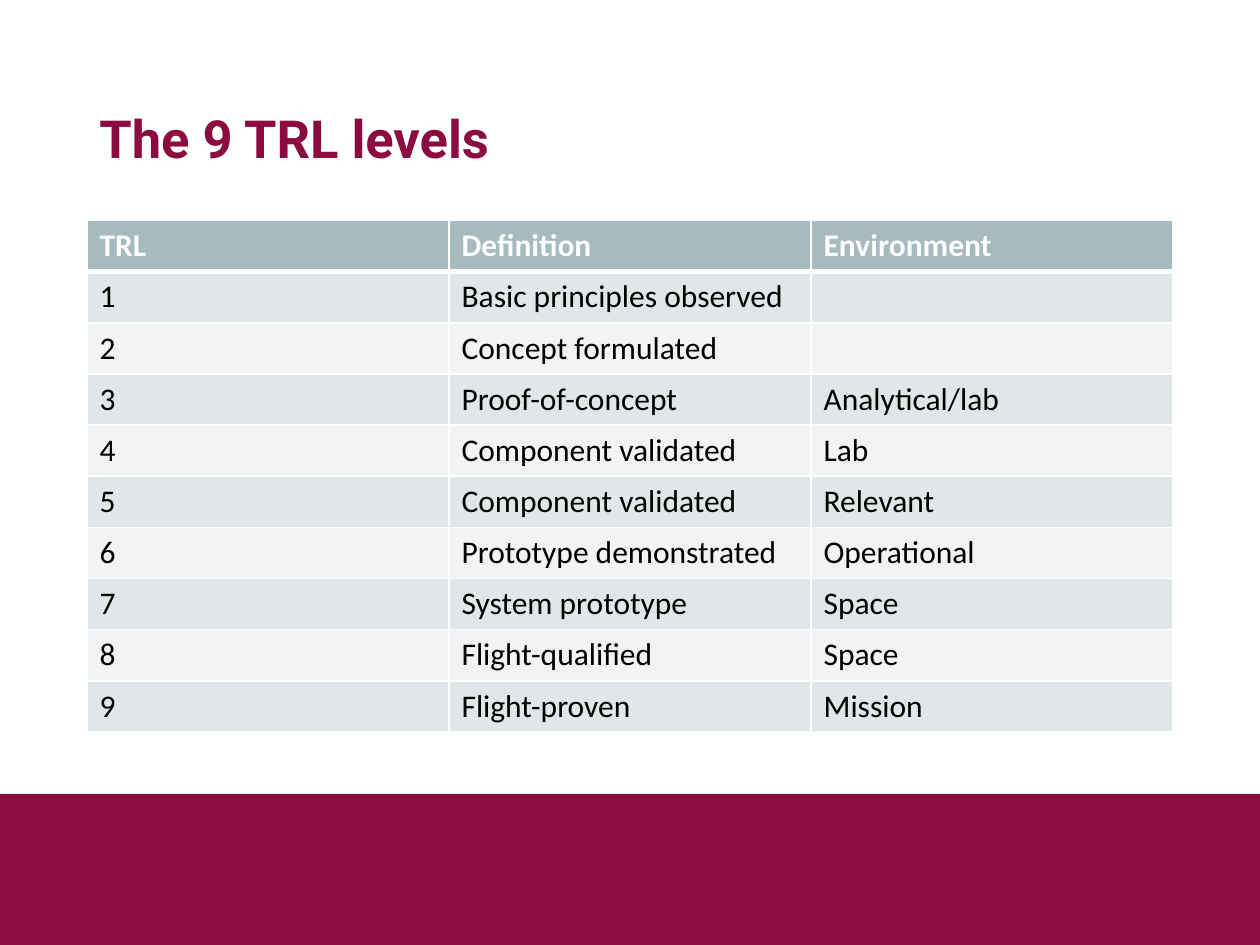
from lxml import etree
from pptx import Presentation
from pptx.dml.color import RGBColor
from pptx.enum.shapes import MSO_SHAPE
from pptx.enum.text import MSO_ANCHOR
from pptx.oxml.ns import qn
from pptx.util import Inches, Pt

RECTANGLE = MSO_SHAPE.RECTANGLE
MIDDLE = MSO_ANCHOR.MIDDLE
MAROON, WHITE, BLACK = "8C0B41", "FEFFFF", "000000"
HEADER_FILL, BAND_FILLS = "A7BABE", ("F1F3F4", "E1E7E8")
LEFT, WIDTH = Inches(0.69), Inches(8.62)

TITLE_FORMAT = {"name": "Roboto", "size": Pt(30), "bold": True}
HEADER_FORMAT = {"name": "Calibri", "size": Pt(18), "bold": True}
BODY_FORMAT = {**HEADER_FORMAT, "bold": False}

LEVELS = [
    ("TRL", "Definition", "Environment"),
    ("1", "Basic principles observed", ""),
    ("2", "Concept formulated", ""),
    ("3", "Proof-of-concept", "Analytical/lab"),
    ("4", "Component validated", "Lab"),
    ("5", "Component validated", "Relevant"),
    ("6", "Prototype demonstrated", "Operational"),
    ("7", "System prototype", "Space"),
    ("8", "Flight-qualified", "Space"),
    ("9", "Flight-proven", "Mission"),
]


def paint(fill, color):
    """Give a fill one solid colour."""
    fill.solid()
    fill.fore_color.rgb = RGBColor.from_string(color)


def format_font(font, values, color):
    """Apply font values and a colour."""
    for name, value in values.items():
        setattr(font, name, value)
    font.color.rgb = RGBColor.from_string(color)


def add_footer_band(slide):
    """Add the coloured band at the foot of the slide."""
    band = slide.shapes.add_shape(RECTANGLE, 0, Inches(6.3), Inches(10), Inches(1.2))
    band.shadow.inherit = False
    paint(band.fill, MAROON)
    band.line.fill.background()


def add_title(slide, text):
    """Add the slide title."""
    box = slide.shapes.add_textbox(LEFT, Inches(0.4), WIDTH, Inches(1.45))
    frame = box.text_frame
    frame.word_wrap = True
    frame.vertical_anchor = MIDDLE
    paragraph = frame.paragraphs[0]
    paragraph.line_spacing = 0.9
    run = paragraph.add_run()
    run.text = text
    format_font(run.font, TITLE_FORMAT, MAROON)


def set_borders(cell, top, bottom):
    """Draw white cell borders, with top and bottom widths in points."""
    properties = cell._tc.get_or_add_tcPr()
    for side, width in {"lnL": 1, "lnR": 1, "lnT": top, "lnB": bottom}.items():
        line = etree.SubElement(properties, qn(f"a:{side}"), w=str(Pt(width)))
        solid = etree.SubElement(line, qn("a:solidFill"))
        etree.SubElement(solid, qn("a:srgbClr"), val=WHITE)


def add_levels_table(slide, rows):
    """Add the table of levels with a header and banded rows."""
    table = slide.shapes.add_table(
        len(rows), len(rows[0]), LEFT, Inches(1.75), WIDTH, Inches(4.06)
    ).table
    for row_index, row in enumerate(rows):
        is_header = row_index == 0
        fill = HEADER_FILL if is_header else BAND_FILLS[row_index % 2]
        values = HEADER_FORMAT if is_header else BODY_FORMAT
        for column_index, text in enumerate(row):
            cell = table.cell(row_index, column_index)
            set_borders(cell, 3 if row_index == 1 else 1, 3 if is_header else 1)
            paint(cell.fill, fill)
            if text:
                run = cell.text_frame.paragraphs[0].add_run()
                run.text = text
                format_font(run.font, values, WHITE if is_header else BLACK)


def main():
    """Build and save the slide."""
    presentation = Presentation()
    presentation.slide_width = Inches(10)
    presentation.slide_height = Inches(7.5)
    slide = presentation.slides.add_slide(presentation.slide_layouts[6])
    paint(slide.background.fill, WHITE)
    add_footer_band(slide)
    add_title(slide, "The 9 TRL levels")
    add_levels_table(slide, LEVELS)
    presentation.save("out.pptx")


if __name__ == "__main__":
    main()
